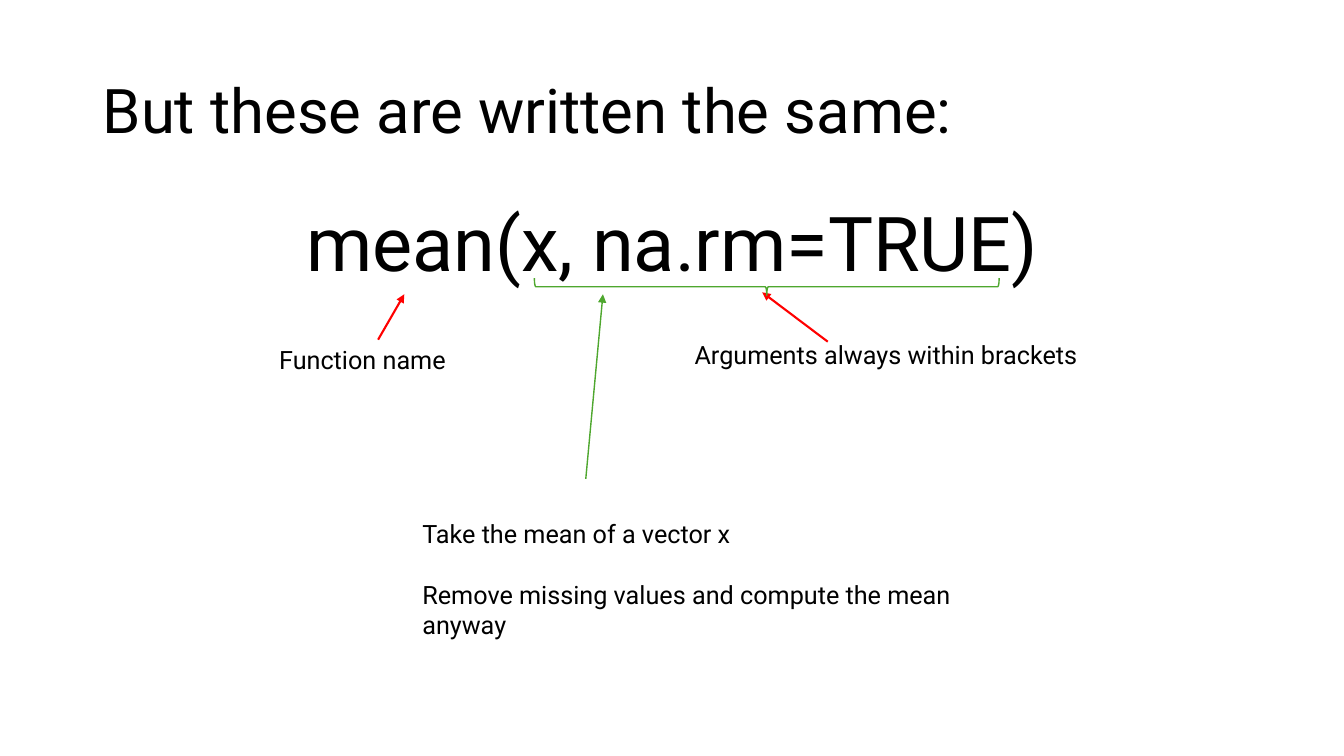
from lxml.etree import SubElement
from pptx import Presentation
from pptx.dml.color import RGBColor
from pptx.enum.shapes import MSO_CONNECTOR, MSO_SHAPE
from pptx.enum.text import MSO_ANCHOR, PP_ALIGN
from pptx.oxml.ns import qn
from pptx.util import Inches, Pt

BLACK = RGBColor(0x00, 0x00, 0x00)
RED = RGBColor(0xFF, 0x00, 0x00)
GREEN = RGBColor(0x4E, 0xA7, 0x2E)


class Board:
    font = "Roboto"

    def __init__(self, slide):
        self.shapes = slide.shapes

    def text(self, area, lines, size=18, anchor=MSO_ANCHOR.TOP,
             align=PP_ALIGN.LEFT, pitch=1.0, before=0, gap=0):
        box = self.shapes.add_textbox(*map(Inches, area))
        frame = box.text_frame
        frame.word_wrap = True
        frame.vertical_anchor = anchor
        for i, line in enumerate(lines):
            para = frame.add_paragraph() if i else frame.paragraphs[0]
            para.alignment = align
            para.line_spacing = pitch
            para.space_before = Pt(gap if i else before)
            run = para.add_run()
            run.text = line
            run.font.name = self.font
            run.font.size = Pt(size)
            run.font.color.rgb = BLACK
        return box

    def arrow(self, start, end, color, width, source=None):
        line = self.shapes.add_connector(
            MSO_CONNECTOR.STRAIGHT, *map(Inches, start + end))
        if source is not None:
            line.begin_connect(source, 0)
        line.line.color.rgb = color
        line.line.width = Pt(width)
        props = line.line._get_or_add_ln()
        SubElement(props, qn("a:tailEnd"), type="triangle")
        SubElement(props.getparent(), qn("a:effectLst"))

    def brace(self, area, turn, color, width):
        shape = self.shapes.add_shape(MSO_SHAPE.LEFT_BRACE, *map(Inches, area))
        shape.rotation = turn
        shape.shadow.inherit = False
        shape.fill.background()
        shape.line.color.rgb = color
        shape.line.width = Pt(width)


def main():
    deck = Presentation()
    deck.slide_width, deck.slide_height = Inches(13.33), Inches(7.5)
    board = Board(deck.slides.add_slide(deck.slide_layouts[6]))

    # Title and function call
    board.text((0.92, 0.4, 11.5, 1.45), ["But these are written the same:"],
               size=44, anchor=MSO_ANCHOR.MIDDLE, pitch=0.9)
    board.text((0.92, 2, 11.5, 4.76), ["mean(x, na.rm=TRUE)"],
               size=54, align=PP_ALIGN.CENTER, pitch=0.9, before=10)

    # Labels of the parts
    name = board.text((2.67, 3.37, 2.16, 0.4), ["Function name"])
    board.text((6.79, 3.32, 4.08, 0.4), ["Arguments always within brackets"])
    board.arrow((3.75, 3.37), (4.01, 2.92), RED, 1.5, name)
    board.arrow((8.21, 3.39), (7.56, 2.9), RED, 1.5)

    # Meaning of the arguments
    board.text((4.09, 5.09, 6.15, 1.01),
               ["Take the mean of a vector x",
                "Remove missing values and compute the mean anyway"], gap=22)
    board.arrow((5.81, 4.75), (5.98, 2.92), GREEN, 1)
    board.brace((7.52, 0.54, 0.17, 4.61), 270, GREEN, 1)

    deck.save("out.pptx")


if __name__ == "__main__":
    main()
